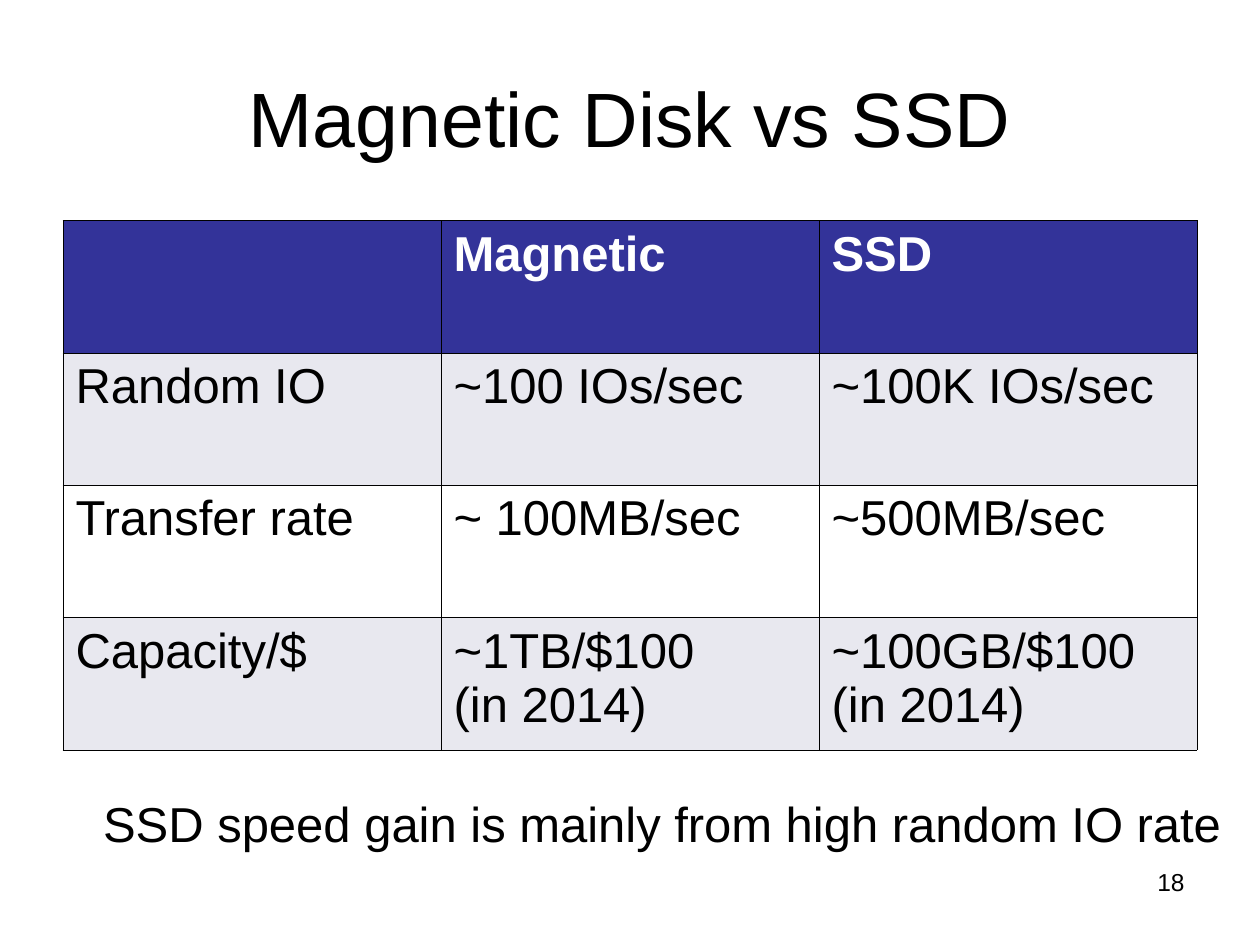
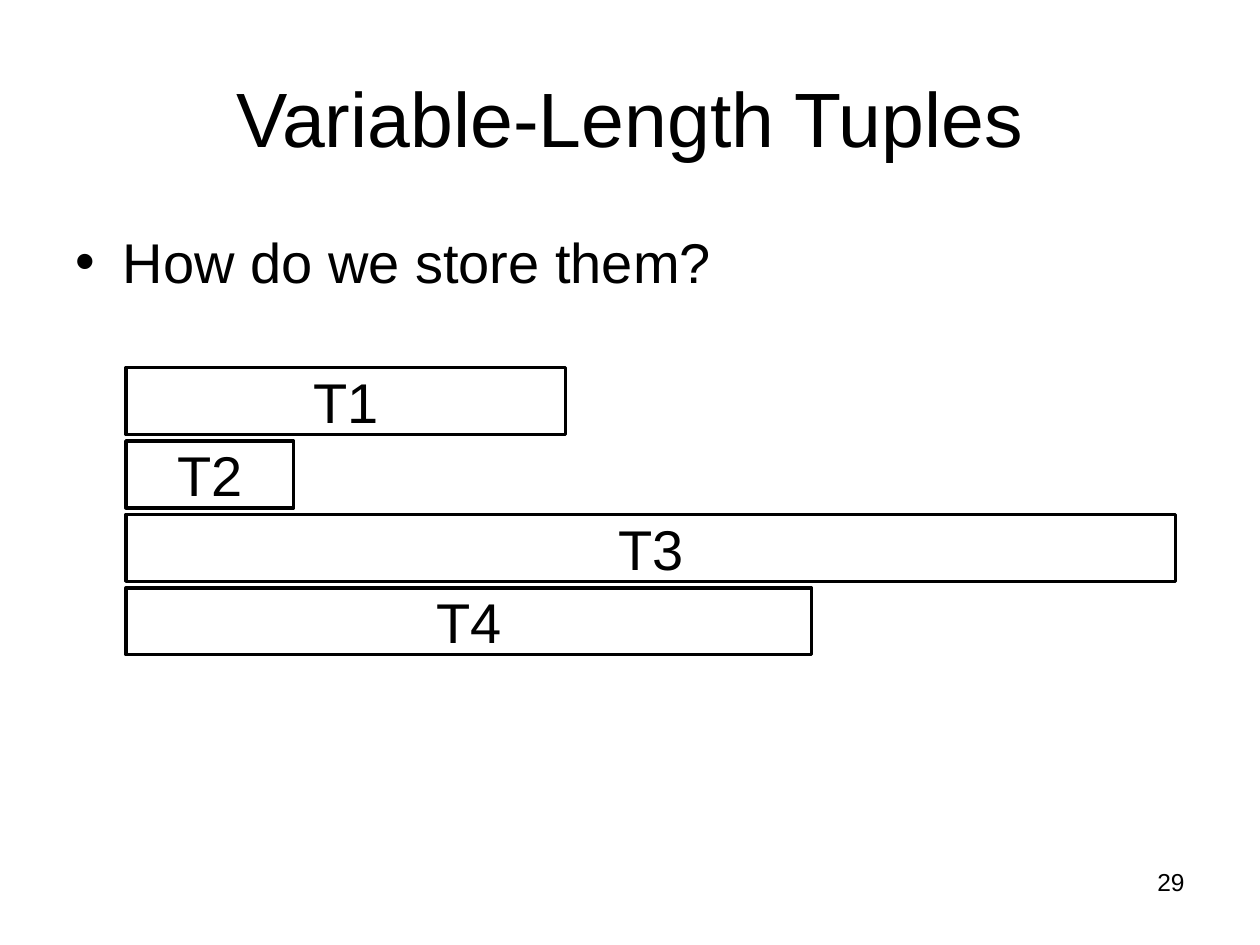
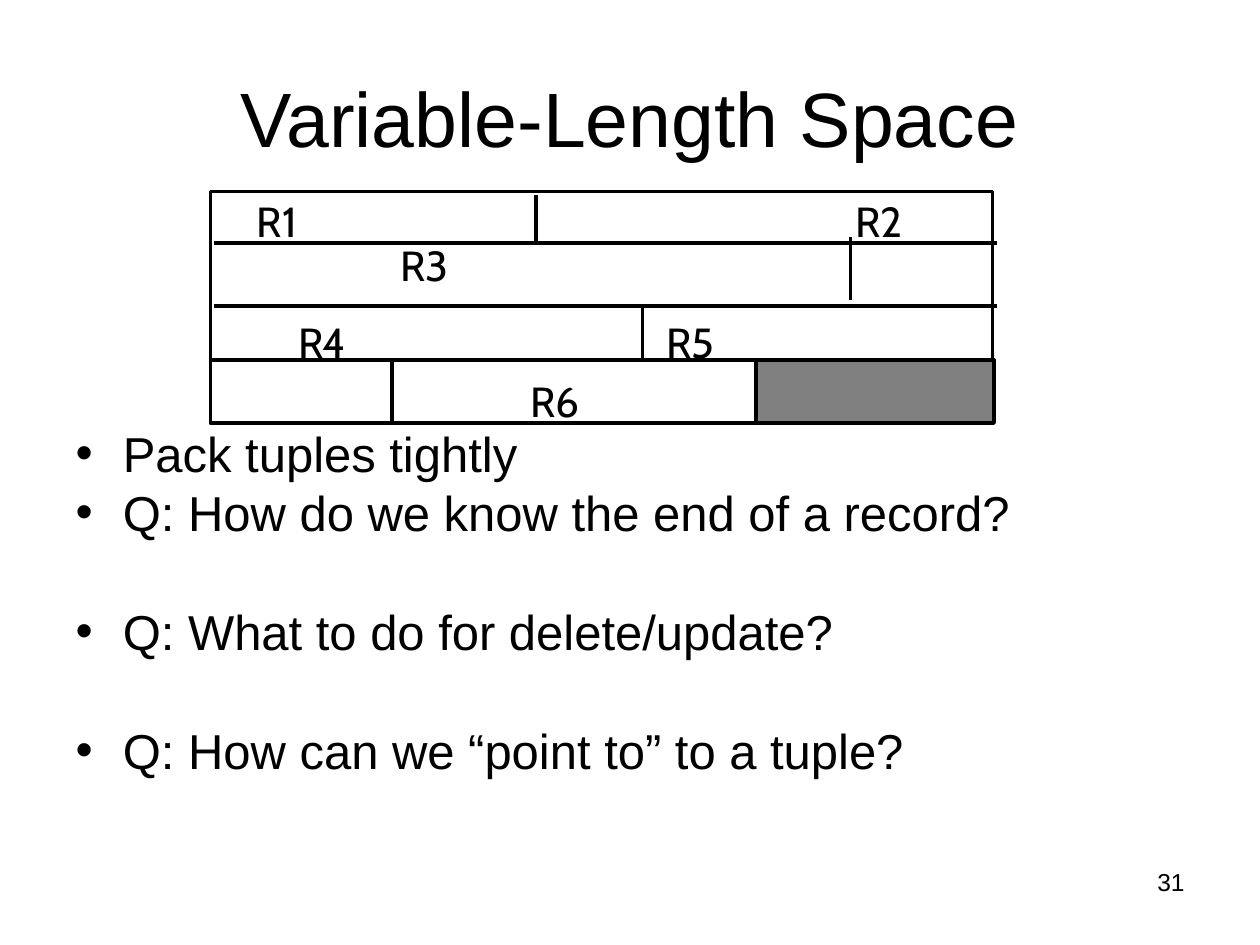
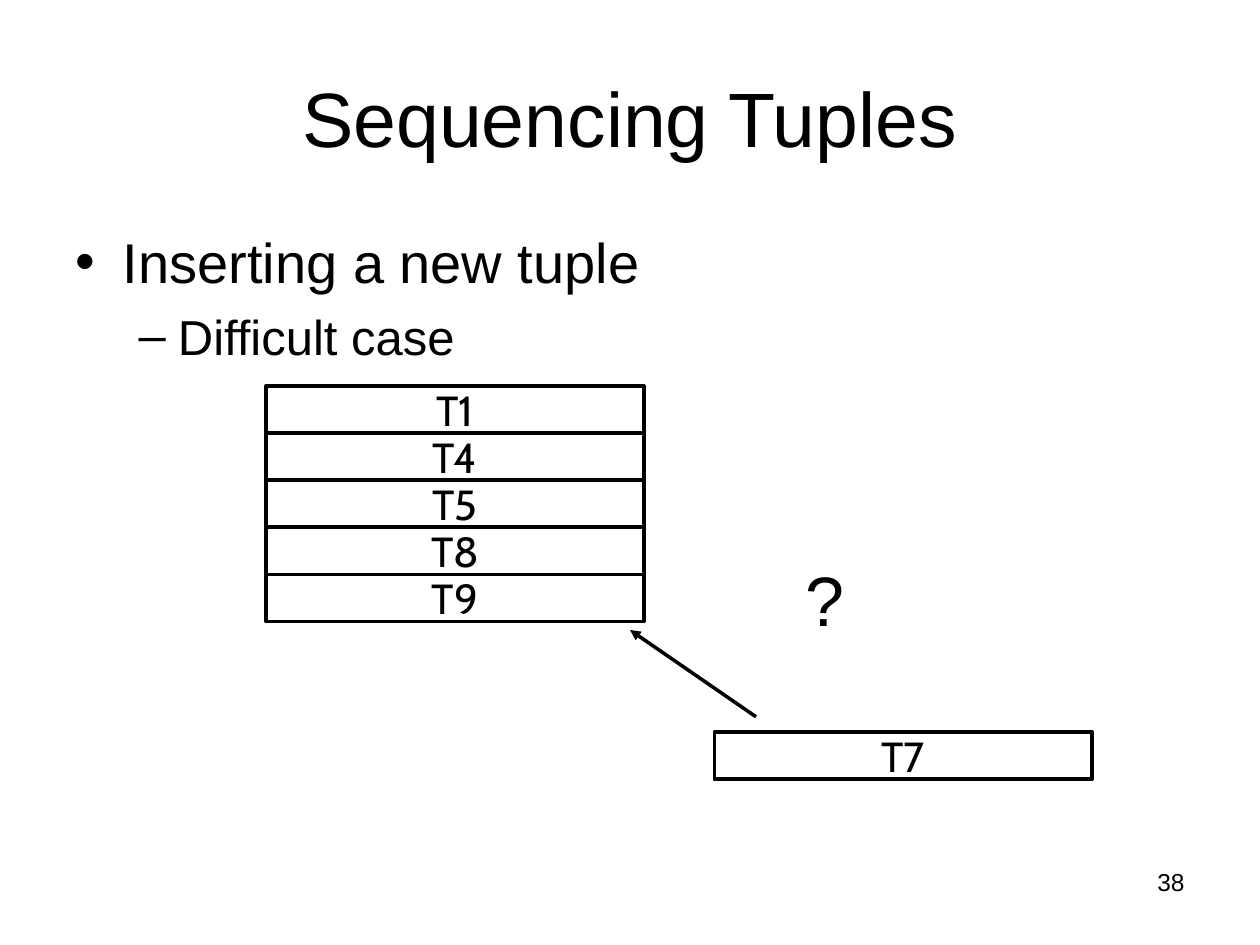
from dataclasses import dataclass
from typing import Any, NamedTuple

from lxml.etree import SubElement
from pptx import Presentation
from pptx.dml.color import RGBColor
from pptx.enum.shapes import MSO_CONNECTOR, MSO_SHAPE
from pptx.enum.text import MSO_ANCHOR, MSO_AUTO_SIZE, PP_ALIGN
from pptx.oxml.ns import qn
from pptx.util import Cm, Pt

COLORS = {
    "ink": "000000",
    "paper": "FFFFFF",
    "header": "333399",
    "band": "E8E8EF",
    "free": "808080",
}
ARIAL, CABIN = "Arial", "Cabin"
LINE_WIDTH = Pt(2)
BORDER_WIDTH = Pt(0.45)
NO_INSETS = {f"margin_{side}": 0 for side in ("left", "right", "top", "bottom")}
LABEL_FRAME = {"word_wrap": False, "auto_size": MSO_AUTO_SIZE.SHAPE_TO_FIT_TEXT}
CELL_FRAME = {"word_wrap": False, "vertical_anchor": MSO_ANCHOR.MIDDLE}
BAR_FRAME = {"word_wrap": True, "vertical_anchor": MSO_ANCHOR.TOP, **NO_INSETS}


class Area(NamedTuple):
    """Left, top, width and height in centimetres."""
    left: float
    top: float
    width: float
    height: float

    def lengths(self) -> list[Cm]:
        return [Cm(value) for value in self]


class Segment(NamedTuple):
    """Start and end points in centimetres."""
    x1: float
    y1: float
    x2: float
    y2: float


@dataclass
class TextStyle:
    size: float
    name: str = ARIAL
    color: str = "ink"
    bold: bool = False


@dataclass
class Bullet:
    text: str
    size: float = 32
    level: int = 0
    space_before: float = 0
    line_spacing: float = 1.0


TITLE_AREA = Area(1.27, 0.76, 22.86, 3.18)
BODY_AREA = Area(1.27, 4.45, 22.86, 12.57)
NUMBER_AREA = Area(18.21, 17.35, 5.92, 1.32)
CABIN_STYLE = TextStyle(24, CABIN)


def set_all(target: Any, values: dict[str, Any]) -> None:
    for name, value in values.items():
        setattr(target, name, value)


def rgb(color: str) -> RGBColor:
    return RGBColor.from_string(COLORS[color])


def style_text(frame, style: TextStyle, align=PP_ALIGN.LEFT) -> None:
    for para in frame.paragraphs:
        para.alignment = align
        for span in para.runs:
            set_all(span.font, {"name": style.name, "size": Pt(style.size), "bold": style.bold})
            span.font.color.rgb = rgb(style.color)


def add_text(shapes, area: Area, text: str, style: TextStyle, frame_format: dict,
             align=PP_ALIGN.LEFT):
    box = shapes.add_textbox(*area.lengths())
    box.text_frame.text = text
    set_all(box.text_frame, frame_format)
    style_text(box.text_frame, style, align)
    return box


def add_box(shapes, area: Area, fill: str | None = "paper", text: str = "",
            style: TextStyle = CABIN_STYLE, frame_format: dict = CELL_FRAME):
    """Add an outlined rectangle with optional centred text."""
    box = shapes.add_shape(MSO_SHAPE.RECTANGLE, *area.lengths())
    box.shadow.inherit = False
    box.line.color.rgb = rgb("ink")
    box.line.width = LINE_WIDTH
    if fill:
        box.fill.solid()
        box.fill.fore_color.rgb = rgb(fill)
    else:
        box.fill.background()
    if text:
        box.text_frame.text = text
        set_all(box.text_frame, frame_format)
        style_text(box.text_frame, style, PP_ALIGN.CENTER)
    return box


def add_line(shapes, segment: Segment, arrow: bool = False) -> None:
    line = shapes.add_connector(MSO_CONNECTOR.STRAIGHT, *[Cm(value) for value in segment])
    line.line.color.rgb = rgb("ink")
    line.line.width = LINE_WIDTH
    if arrow:
        SubElement(line.line._get_or_add_ln(), qn("a:tailEnd"), type="triangle")
    SubElement(line._element.spPr, qn("a:effectLst"))


def add_page(deck, title: str, number: int, layout: str = "Title and Content"):
    """Add a slide with its title and page number."""
    page = deck.slides.add_slide(deck.slide_layouts.get_by_name(layout))
    heading = page.shapes.title
    set_all(heading, dict(zip(("left", "top", "width", "height"), TITLE_AREA.lengths())))
    heading.text_frame.text = title
    set_all(heading.text_frame, {"auto_size": MSO_AUTO_SIZE.NONE,
                                 "vertical_anchor": MSO_ANCHOR.MIDDLE})
    style_text(heading.text_frame, TextStyle(44), PP_ALIGN.CENTER)
    add_text(page.shapes, NUMBER_AREA, str(number), TextStyle(14), {"word_wrap": True},
             PP_ALIGN.RIGHT)
    return page


def fill_body(page, bullets: list[Bullet], area: Area = BODY_AREA, top_inset: float = 0.13) -> None:
    body = page.placeholders[1]
    set_all(body, dict(zip(("left", "top", "width", "height"), area.lengths())))
    frame = body.text_frame
    set_all(frame, {"auto_size": MSO_AUTO_SIZE.NONE, "margin_top": Cm(top_inset)})
    frame.text = "\n".join(bullet.text for bullet in bullets)
    style_text(frame, TextStyle(32))
    for para, bullet in zip(frame.paragraphs, bullets):
        set_all(para, {"level": bullet.level, "space_before": Pt(bullet.space_before),
                       "line_spacing": bullet.line_spacing})
        para.runs[0].font.size = Pt(bullet.size)


def add_borders(cell) -> None:
    properties = cell._tc.get_or_add_tcPr()
    for side in ("lnL", "lnR", "lnT", "lnB"):
        border = SubElement(properties, qn(f"a:{side}"), w=str(int(BORDER_WIDTH)))
        fill = SubElement(border, qn("a:solidFill"))
        SubElement(fill, qn("a:srgbClr"), val=COLORS["ink"])


def build_comparison(deck) -> None:
    page = add_page(deck, "Magnetic Disk vs SSD", 18, "Title Only")
    rows = [
        ("", "Magnetic", "SSD"),
        ("Random IO", "~100 IOs/sec", "~100K IOs/sec"),
        ("Transfer rate", "~ 100MB/sec", "~500MB/sec"),
        ("Capacity/$", "~1TB/$100\v(in 2014)", "~100GB/$100\v(in 2014)"),
    ]
    fills = ("header", "band", "paper", "band")
    area = Area(1.27, 4.45, 22.86, 10.67)
    table = page.shapes.add_table(len(rows), len(rows[0]), *area.lengths()).table
    for row_index, (texts, fill) in enumerate(zip(rows, fills)):
        is_header = row_index == 0
        style = TextStyle(28, color="paper" if is_header else "ink", bold=is_header)
        for column_index, text in enumerate(texts):
            cell = table.cell(row_index, column_index)
            add_borders(cell)
            cell.fill.solid()
            cell.fill.fore_color.rgb = rgb(fill)
            cell.text_frame.text = text
            style_text(cell.text_frame, style)
    add_text(page.shapes, Area(1.83, 15.88, 23.04, 1.45),
             "SSD speed gain is mainly from high random IO rate", TextStyle(28), LABEL_FRAME)


def build_tuple_lengths(deck) -> None:
    page = add_page(deck, "Variable-Length Tuples", 29)
    fill_body(page, [Bullet("How do we store them?")])
    left, top, height, pitch = 2.54, 7.41, 1.35, 1.48
    for index, width in enumerate((8.86, 3.38, 21.16, 13.82)):
        add_box(page.shapes, Area(left, top + index * pitch, width, height), None,
                f"T{index + 1}", TextStyle(32), BAR_FRAME)


def build_packed_block(deck) -> None:
    page = add_page(deck, "Variable-Length Space", 31)
    tight = {"size": 28, "line_spacing": 0.8}
    fill_body(page, [
        Bullet("Pack tuples tightly", **tight),
        Bullet("Q: How do we know the end of a record?", space_before=7, **tight),
        Bullet("Q: What to do for delete/update?", space_before=41, **tight),
        Bullet("Q: How can we “point to” to a tuple?", space_before=41, **tight),
    ], Area(1.27, 3.61, 22.86, 13.34), top_inset=5.15)

    block = page.shapes.add_group_shape().shapes
    left, right, top, bottom = 4.24, 20.01, 3.86, 8.53
    first, second, third = 4.9, 6.17, 7.26
    add_box(block, Area(left, top, right - left, bottom - top))
    for y, shift in ((first, 0.08), (second, 0.08), (third, 0)):
        add_line(block, Segment(left + shift, y, right + shift, y))
    dividers = [(10.8, 3.94, first), (17.15, 4.78, 6.05), (12.95, second, third),
                (7.9, third, bottom), (15.24, third, bottom)]
    for x, start, end in dividers:
        add_line(block, Segment(x, start, x, end))
    labels = [(4.93, 3.81), (16.99, 3.81), (7.82, 4.7), (5.77, 6.25), (13.18, 6.25), (10.44, 7.44)]
    for number, (x, y) in enumerate(labels, start=1):
        add_text(block, Area(x, y, 1.52, 1.27), f"R{number}", CABIN_STYLE, LABEL_FRAME)
    add_box(block, Area(15.24, third, 4.8, bottom - third), "free")


def build_insertion(deck) -> None:
    page = add_page(deck, "Sequencing Tuples", 38)
    fill_body(page, [Bullet("Inserting a new tuple"),
                     Bullet("Difficult case", size=28, level=1, space_before=7)])
    width, height = 7.62, 0.95
    for index, name in enumerate(("T1", "T4", "T5", "T8", "T9")):
        add_box(page.shapes, Area(5.36, 7.78 + index * height, width, height), text=name)
    add_box(page.shapes, Area(14.4, 14.76, width, height), text="T7")
    add_line(page.shapes, Segment(15.24, 14.45, 12.7, 12.7), arrow=True)
    add_text(page.shapes, Area(15.98, 11.1, 1.3, 1.96), "?", TextStyle(40), LABEL_FRAME)


def main() -> None:
    deck = Presentation()
    set_all(deck, {"slide_width": Cm(25.4), "slide_height": Cm(19.05)})
    for build in (build_comparison, build_tuple_lengths, build_packed_block, build_insertion):
        build(deck)
    deck.save("out.pptx")


if __name__ == "__main__":
    main()
